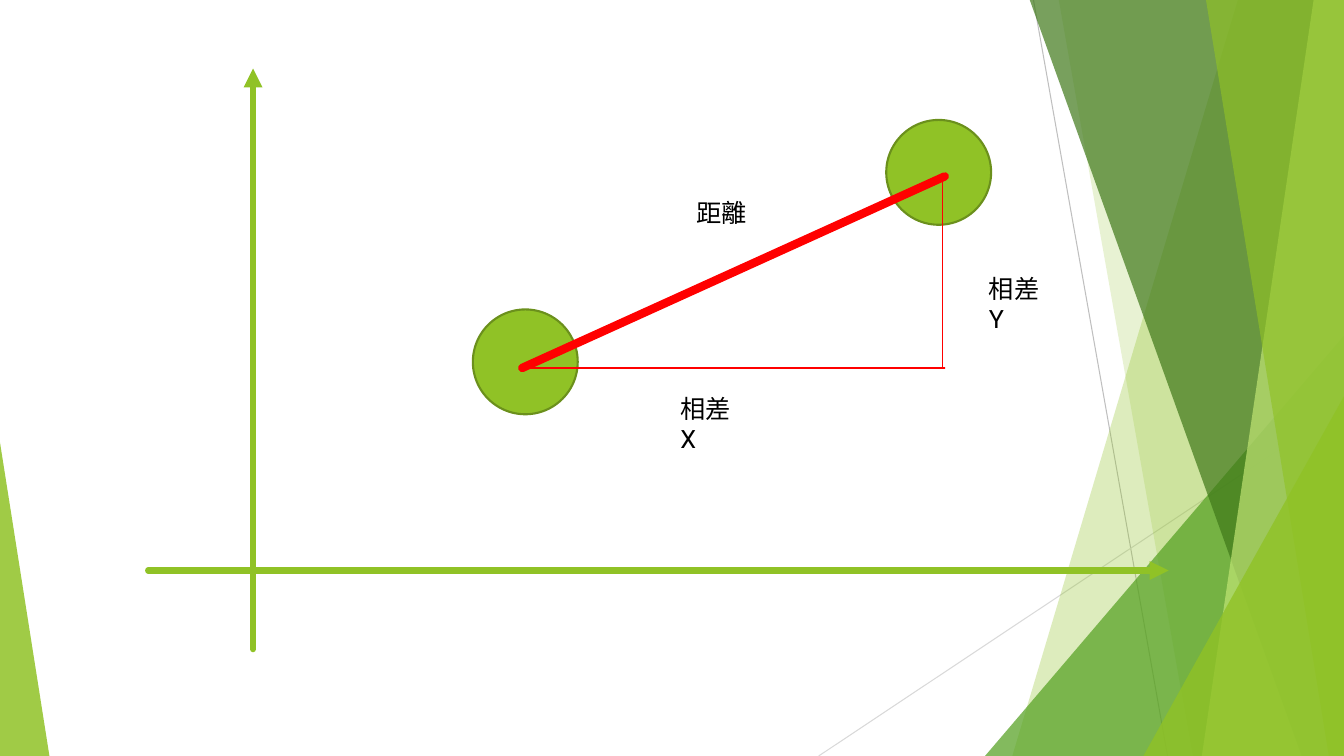
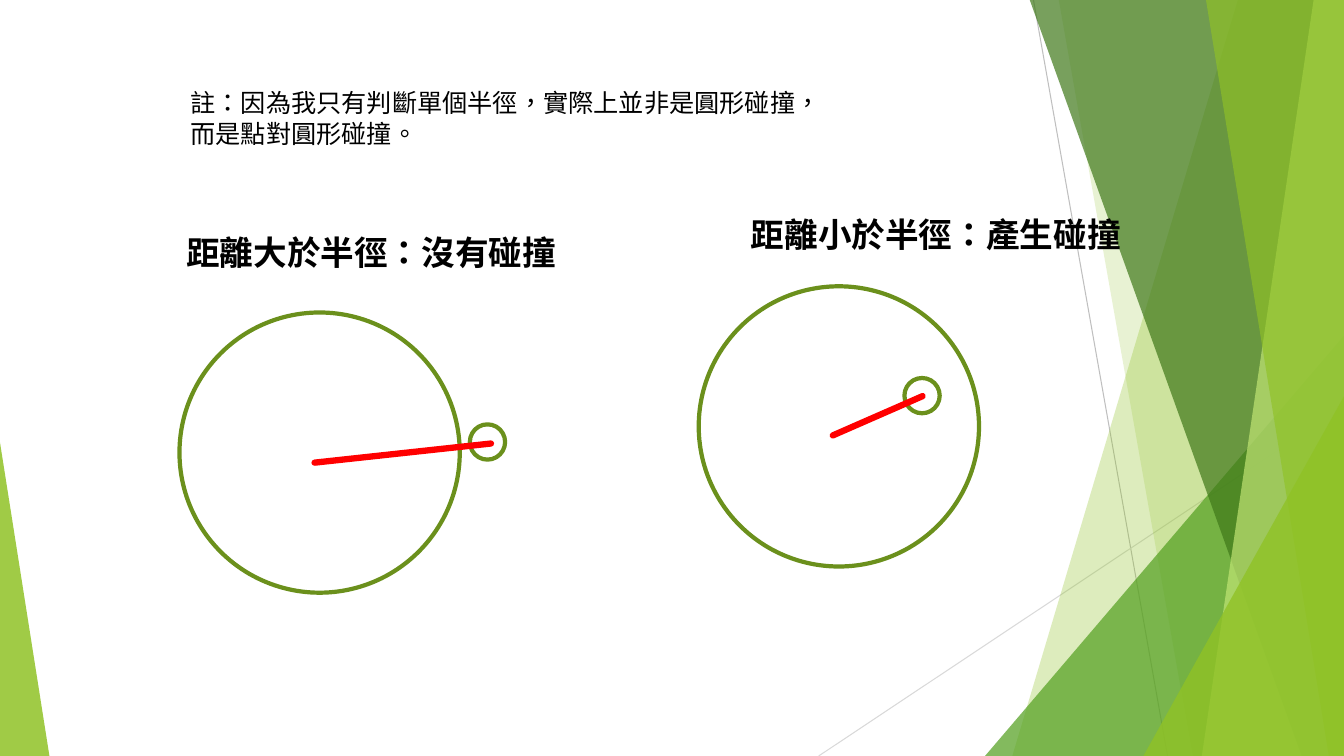
"""Two slides on distance and circle collision over a shared green facet master."""
from dataclasses import dataclass

from lxml import etree
from pptx import Presentation
from pptx.dml.color import RGBColor
from pptx.enum import lang, shapes, text
from pptx.oxml import ns
from pptx.util import Inches, Pt


@dataclass(frozen=True)
class Theme:
    """Colours, font and type sizes."""
    lime: str = "90C226"
    edge: str = "6B901C"
    leaf: str = "54A021"
    pine: str = "3F7819"
    pale: str = "C0E474"
    red: str = "FF0000"
    ink: str = "000000"
    gray: str = "BFBFBF"
    mist: str = "D9D9D9"
    font: str = "Roboto"
    body: int = 18
    head: int = 24


T = Theme()
WIDE, HIGH, TOP = 13.33, 7.5, -0.01
OVAL = shapes.MSO_SHAPE.OVAL
TRI = shapes.MSO_SHAPE.ISOSCELES_TRIANGLE

RAYS = [((10.25, 0), (11.58, HIGH), T.gray), ((WIDE, 4.03), (8.12, HIGH), T.mist)]
FACETS = [
    ("band", 12.28, 10.04, T.lime, 30),
    ("band", 10.5, 11.83, T.lime, 20),
    ("peak", (9.77, 3.33, 3.56), 1, T.leaf, 72),
    ("band", 10.21, 12.91, T.pine, 70),
    ("band", 13.03, 11.92, T.pale, 70),
    ("band", 11.96, 13.18, T.lime, 65),
    ("peak", (11.34, 3.93, 1.99), 1, T.lime, 80),
    ("peak", (0, 4.39, 0.49), 0, T.lime, 85),
]

AXES = [((1.47, 5.66), (11.59, 5.66)), ((2.51, 6.44), (2.51, 0.68))]
DOTS = [(4.69, 3.07), (8.79, 1.19)]
DOT = 1.04
SIDES = [
    ((5.21, 3.65), (9.37, 3.65), 1),
    ((9.35, 3.65), (9.35, 1.75), 1),
    ((9.37, 1.75), (5.18, 3.65), 6),
]
LABELS = [
    ("相差X", (6.65, 3.85, 0.84, 0.4)),
    ("相差Y", (9.71, 2.66, 0.83, 0.4)),
    ("距離", (6.81, 1.91, 0.71, 0.4)),
]

BIG, SMALL = 2.78, 0.35
CASES = [
    dict(name="距離大於半徑：沒有碰撞", box=(1.75, 2.25, 3.9, 0.5),
         ring=(1.78, 3.1), spot=(4.66, 4.21), gap=((3.12, 4.59), (4.87, 4.4))),
    dict(name="距離小於半徑：產生碰撞", box=(7.35, 2.07, 3.9, 0.5),
         ring=(6.93, 2.84), spot=(8.97, 3.75), gap=((8.26, 4.32), (9.15, 3.93))),
]
NOTE = "註：因為我只有判斷單個半徑，實際上並非是圓形碰撞，\n而是點對圓形碰撞。"


def rgb(tone):
    return RGBColor.from_string(tone)


def sub(node, tag, **attrs):
    return etree.SubElement(node, ns.qn(tag), attrs)


def line(slide, start, end, tone, width, arrow=False, cap="rnd"):
    ends = [Inches(n) for n in (*start, *end)]
    link = slide.shapes.add_connector(shapes.MSO_CONNECTOR.STRAIGHT, *ends)
    link.line.color.rgb = rgb(tone)
    link.line.width = Pt(width)
    pen = link.line._get_or_add_ln()
    pen.set("cap", cap)
    if arrow:
        sub(pen, "a:tailEnd", type="triangle")
    sub(link.element.spPr, "a:effectLst")
    return link


def circle(slide, spot, size, width, fill=None):
    disc = slide.shapes.add_shape(OVAL, *[Inches(n) for n in (*spot, size, size)])
    disc.shadow.inherit = False
    if fill:
        disc.fill.solid()
        disc.fill.fore_color.rgb = rgb(fill)
    else:
        disc.fill.background()
    disc.line.color.rgb = rgb(T.edge)
    disc.line.width = Pt(width)


def label(slide, words, box, size=T.body, bold=False):
    frame = slide.shapes.add_textbox(*[Inches(n) for n in box]).text_frame
    frame.word_wrap = True
    frame.auto_size = text.MSO_AUTO_SIZE.SHAPE_TO_FIT_TEXT
    frame.text = words
    for para in frame.paragraphs:
        for run in para.runs:
            font = run.font
            font.name, font.size, font.bold = T.font, Pt(size), bold
            font.color.rgb = rgb(T.ink)
            font.language_id = lang.MSO_LANGUAGE_ID.TRADITIONAL_CHINESE


def facet(slide, kind, place, foot, tone, alpha):
    if kind == "band":
        pts = [(WIDE, TOP), (WIDE, HIGH), (foot, HIGH)]
        path = slide.shapes.build_freeform(Inches(place), Inches(TOP))
        path.add_line_segments([(Inches(x), Inches(y)) for x, y in pts])
        part = path.convert_to_shape()
    else:
        left, top, width = place
        box = (left, top, width, HIGH - top)
        part = slide.shapes.add_shape(TRI, *[Inches(n) for n in box])
        part.adjustments[0] = foot
    part.shadow.inherit = False
    part.line.fill.background()
    part.fill.solid()
    part.fill.fore_color.rgb = rgb(tone)
    shade = part.element.spPr.find(ns.qn("a:solidFill"))[0]
    sub(shade, "a:alpha", val=str(alpha * 1000))
    return part


def dress(deck, slide):
    parts = [line(slide, *ray, 0.75, cap="flat") for ray in RAYS]
    parts += [facet(slide, *item) for item in FACETS]
    tree = deck.slide_master.element.cSld.spTree
    for i, part in enumerate(parts):
        part.element.xpath(".//p:cNvPr")[0].set("id", str(100 + i))
        tree.insert(2 + i, part.element)


def graph(slide):
    for start, end in AXES:
        line(slide, start, end, T.lime, 4.5, arrow=True)
    for spot in DOTS:
        circle(slide, spot, DOT, 1.5, T.lime)
    for start, end, width in SIDES:
        line(slide, start, end, T.red, width)
    for words, box in LABELS:
        label(slide, words, box)


def hits(slide):
    for case in CASES:
        circle(slide, case["ring"], BIG, 3)
        circle(slide, case["spot"], SMALL, 3)
        line(slide, *case["gap"], T.red, 4.5)
        label(slide, case["name"], case["box"], T.head, True)
    label(slide, NOTE, (1.79, 0.82, 6.88, 0.71))


def main():
    deck = Presentation()
    deck.slide_width, deck.slide_height = Inches(WIDE), Inches(HIGH)
    blank = deck.slide_layouts[6]
    first = deck.slides.add_slide(blank)
    dress(deck, first)
    graph(first)
    hits(deck.slides.add_slide(blank))
    deck.save("out.pptx")


if __name__ == "__main__":
    main()
